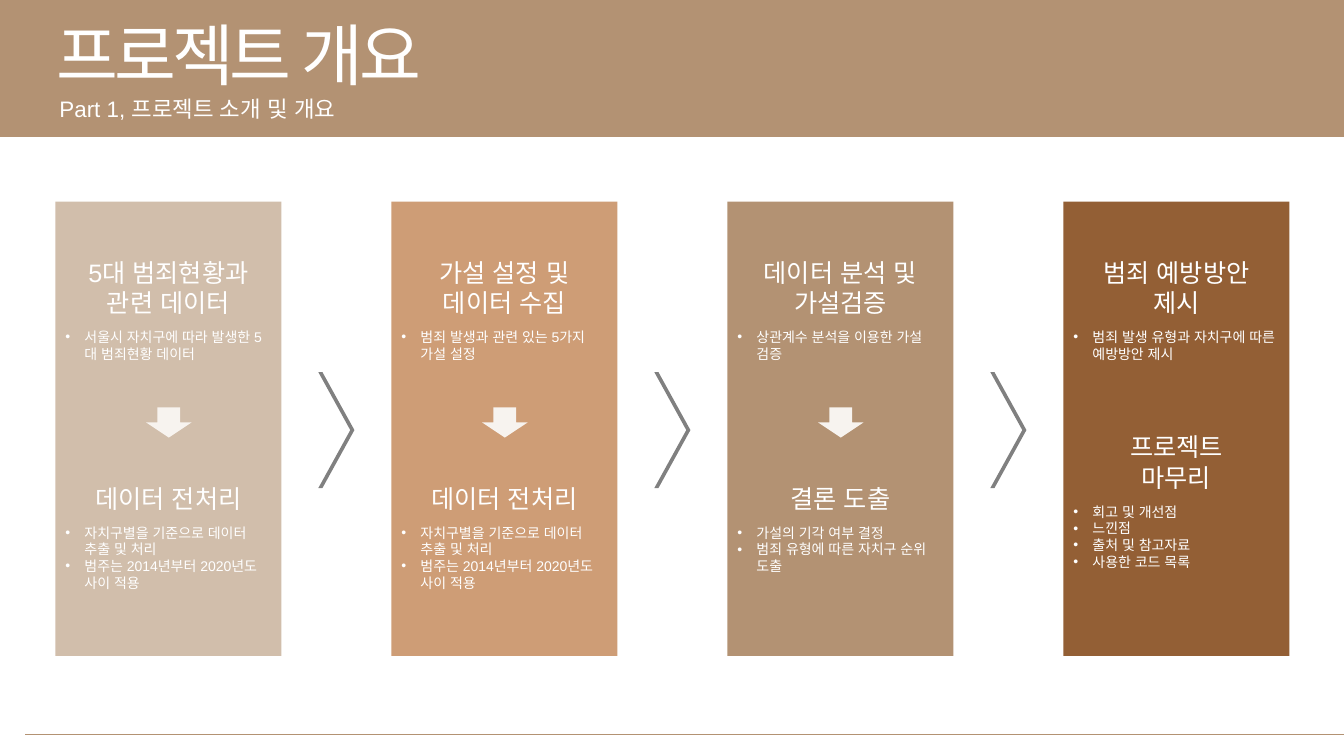
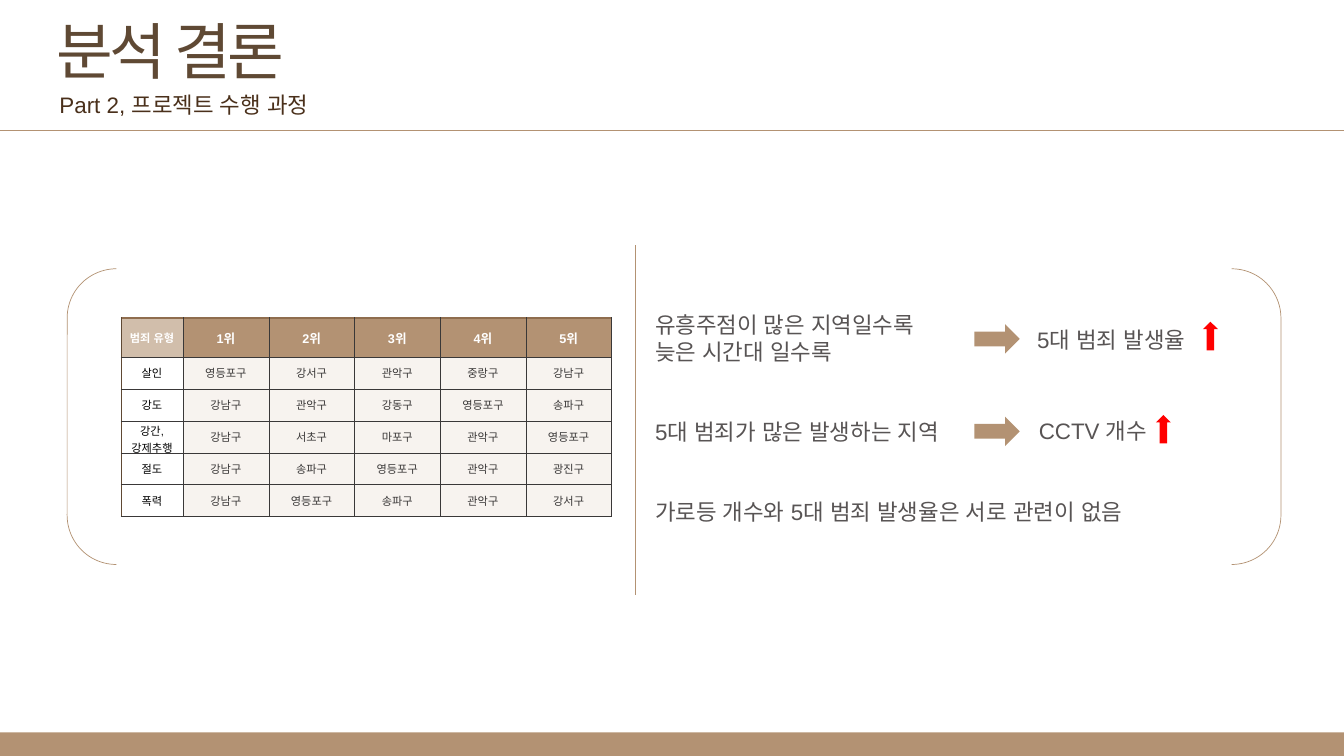
from lxml.etree import SubElement
from pptx import Presentation
from pptx.dml.color import RGBColor
from pptx.enum.lang import MSO_LANGUAGE_ID as Language
from pptx.enum.shapes import MSO_CONNECTOR as Connector, MSO_SHAPE as Preset
from pptx.enum.text import MSO_ANCHOR as Anchor, PP_ALIGN as Align
from pptx.oxml.ns import qn
from pptx.util import Inches, Pt

WHITE, TAN, SAND, CREAM = "FFFFFF", "B39273", "D1BEAB", "F7F3EF"
CLAY, RUST, GRAY, RED = "CE9D76", "935F35", "808080", "FF0000"
BROWN, DARK_BROWN, TEXT_GRAY, INK = "5F4934", "4A301B", "585454", "3A3838"
hex_color = RGBColor.from_string

presentation = Presentation()
presentation.slide_width = Inches(40 / 3)
presentation.slide_height = Inches(7.5)
COLUMN = presentation.slide_width / 16
ROW = presentation.slide_height / 9


def place(slide, left, top, width, height, preset=None, fill=None, line=None):
    box = [round(n * unit) for n, unit in zip((left, top, width, height), (COLUMN, ROW) * 2)]
    if preset is None:
        return slide.shapes.add_textbox(*box)
    shape = slide.shapes.add_shape(preset, *box)
    shape.shadow.inherit = False
    for part, color in ((shape.fill, fill), (shape.line.fill, line)):
        if color:
            part.solid()
            part.fore_color.rgb = hex_color(color)
        else:
            part.background()
    if line:
        shape.line.width = Pt(0.5)
    return shape


def write(frame, lines, color, size, bold=False, **paragraph_format):
    font_format = {"name": "Arial", "size": Pt(size), "bold": bold, "language_id": Language.KOREAN}
    frame.word_wrap = True
    for index, line in enumerate(lines):
        paragraph = frame.paragraphs[0] if index == 0 else frame.add_paragraph()
        run = paragraph.add_run()
        run.text = line
        for name, value in paragraph_format.items():
            setattr(paragraph, name, value)
        for name, value in font_format.items():
            setattr(run.font, name, value)
        run.font.color.rgb = hex_color(color)
    return frame.paragraphs


headers = [
    ("프로젝트 개요", 48, WHITE, "Part 1, 프로젝트 소개 및 개요", WHITE, 1.07, 0, 1.63),
    ("분석 결론", 44, BROWN, "Part 2, 프로젝트 수행 과정", DARK_BROWN, 1.03, 8.72, 0.28),
]
for title, size, title_color, subtitle, subtitle_color, subtitle_top, band_top, band_height in headers:
    slide = presentation.slides.add_slide(presentation.slide_layouts[6])
    place(slide, 0, band_top, 16, band_height, Preset.RECTANGLE, TAN)
    title_box = place(slide, 0.56, 0.1, 10, 1.1)
    title_paragraph = write(title_box.text_frame, [title], title_color, size)[0]
    title_paragraph.runs[0].font._element.set("spc", "-300")
    write(place(slide, 0.59, subtitle_top, 10, 0.44).text_frame, [subtitle], subtitle_color, 16)
overview, conclusion = presentation.slides

rules = [
    (overview, 0.3, 8.74, 16, 8.74),
    (conclusion, 0, 1.55, 16, 1.55),
    (conclusion, 7.56, 2.92, 7.56, 7.08),
]
for slide, left, top, right, bottom in rules:
    rule = slide.shapes.add_connector(
        Connector.STRAIGHT, round(left * COLUMN), round(top * ROW), round(right * COLUMN), round(bottom * ROW)
    )
    rule.line.color.rgb = hex_color(TAN)
    rule.line.width = Pt(0.5)
    SubElement(rule._element.spPr, qn("a:effectLst"))

preprocessing = (["데이터 전처리"], ["자치구별을 기준으로 데이터 추출 및 처리", "범주는 2014년부터 2020년도 사이 적용"])
steps = [
    (SAND, (["5대 범죄현황과", "관련 데이터"], ["서울시 자치구에 따라 발생한 5대 범죄현황 데이터"]), preprocessing),
    (CLAY, (["가설 설정 및", "데이터 수집"], ["범죄 발생과 관련 있는 5가지 가설 설정"]), preprocessing),
    (
        TAN,
        (["데이터 분석 및", "가설검증"], ["상관계수 분석을 이용한 가설 검증"]),
        (["결론 도출"], ["가설의 기각 여부 결정", "범죄 유형에 따른 자치구 순위 도출"]),
    ),
    (
        RUST,
        (["범죄 예방방안", "제시"], ["범죄 발생 유형과 자치구에 따른 예방방안 제시"]),
        (["프로젝트", "마무리"], ["회고 및 개선점", "느낀점", "출처 및 참고자료", "사용한 코드 목록"]),
    ),
]
PANEL_WIDTH = 2.69
for index, (color, upper, lower) in enumerate(steps):
    left = 0.66 + 4 * index
    is_last = index == len(steps) - 1
    place(overview, left, 2.4, PANEL_WIDTH, 5.41, Preset.RECTANGLE, color)
    if not is_last:
        chevron = place(overview, left + 3.13, 4.43, 0.43, 1.38, Preset.CHEVRON, GRAY)
        chevron.adjustments[0] = 0.885
        place(overview, left + 1.08, 4.85, 0.54, 0.36, Preset.DOWN_ARROW, CREAM)
    for top, (heading, bullets) in ((3, upper), (5.08 if is_last else 5.69, lower)):
        heading_height = 0.13 + 0.36 * len(heading)
        heading_box = place(overview, left, top, PANEL_WIDTH, heading_height)
        write(heading_box.text_frame, heading, WHITE, 18, alignment=Align.CENTER)
        bullet_box = place(overview, left, top + heading_height, PANEL_WIDTH, 0.92)
        for paragraph in write(bullet_box.text_frame, bullets, WHITE, 10):
            properties = paragraph._p.get_or_add_pPr()
            properties.set("marL", str(Inches(0.19)))
            properties.set("indent", str(-Inches(0.19)))
            SubElement(properties, qn("a:buFont"), typeface="Arial")
            SubElement(properties, qn("a:buChar"), char="•")

place(conclusion, 0.8, 3.2, 14.45, 3.52, Preset.DOUBLE_BRACKET, line=TAN)

ranking = [
    ["범죄 유형", "1위", "2위", "3위", "4위", "5위"],
    ["살인", "영등포구", "강서구", "관악구", "중랑구", "강남구"],
    ["강도", "강남구", "관악구", "강동구", "영등포구", "송파구"],
    ["강간,\n강제추행", "강남구", "서초구", "마포구", "관악구", "영등포구"],
    ["절도", "강남구", "송파구", "영등포구", "관악구", "광진구"],
    ["폭력", "강남구", "영등포구", "송파구", "관악구", "강서구"],
]
column_widths = [0.74] + [1.02] * 5
row_heights = [0.46] + [0.38] * 5
table = conclusion.shapes.add_table(
    len(ranking),
    len(ranking[0]),
    round(1.44 * COLUMN),
    round(3.79 * ROW),
    round(sum(column_widths) * COLUMN),
    round(sum(row_heights) * ROW),
).table
table.first_row = table.horz_banding = False
for column, width in zip(table.columns, column_widths):
    column.width = round(width * COLUMN)
for row, height in zip(table.rows, row_heights):
    row.height = round(height * ROW)

cell_format = {
    "vertical_anchor": Anchor.MIDDLE,
    "margin_left": Inches(0.04),
    "margin_right": Inches(0.04),
    "margin_top": Inches(0.02),
    "margin_bottom": Inches(0.02),
}
for row_index, values in enumerate(ranking):
    for column_index, value in enumerate(values):
        cell = table.cell(row_index, column_index)
        is_header, is_label = row_index == 0, column_index == 0
        is_bottom = row_index == len(ranking) - 1
        for name, setting in cell_format.items():
            setattr(cell, name, setting)
        borders = {
            "a:lnL": (BROWN if is_label else INK, 0.25),
            "a:lnR": (INK, 0.25),
            "a:lnT": ("8F6D4E", 1.5) if is_header else (INK, 0.25),
            "a:lnB": (INK, 1.5 if is_bottom else 0.25),
        }
        for tag, (color, width) in borders.items():
            border = SubElement(cell._tc.get_or_add_tcPr(), qn(tag), w=str(Pt(width)))
            SubElement(SubElement(border, qn("a:solidFill")), qn("a:srgbClr"), val=color)
        if is_header:
            fill, color = (SAND if is_label else TAN), WHITE
        else:
            fill, color = (WHITE, "000000") if is_label else (CREAM, INK)
        cell.fill.solid()
        cell.fill.fore_color.rgb = hex_color(fill)
        size = 9 if is_header and not is_label else 8
        write(cell.text_frame, value.split("\n"), color, size, is_header, alignment=Align.CENTER)

findings = [
    "유흥주점이 많은 지역일수록",
    "늦은 시간대 일수록",
    "5대 범죄가 많은 발생하는 지역",
    "가로등 개수와 5대 범죄 발생율은 서로 관련이 없음",
]
findings_box = place(conclusion, 7.68, 3.65, 6.37, 2.71)
paragraphs = write(findings_box.text_frame, findings, TEXT_GRAY, 16, alignment=Align.JUSTIFY)
for paragraph in paragraphs[2:]:
    paragraph.space_before = Pt(38)

effects = [("5대 범죄 발생율", 3.86, 12.23, 3.82, 14.32, 3.83), ("CCTV 개수", 4.96, 12.25, 4.91, 13.76, 4.94)]
for effect, arrow_top, text_left, text_top, rise_left, rise_top in effects:
    place(conclusion, 11.6, arrow_top, 0.54, 0.35, Preset.RIGHT_ARROW, TAN)
    effect_box = place(conclusion, text_left, text_top, 2.16, 0.44)
    write(effect_box.text_frame, [effect], TEXT_GRAY, 16, alignment=Align.JUSTIFY)
    place(conclusion, rise_left, rise_top, 0.18, 0.34, Preset.UP_ARROW, RED)

presentation.save("out.pptx")
